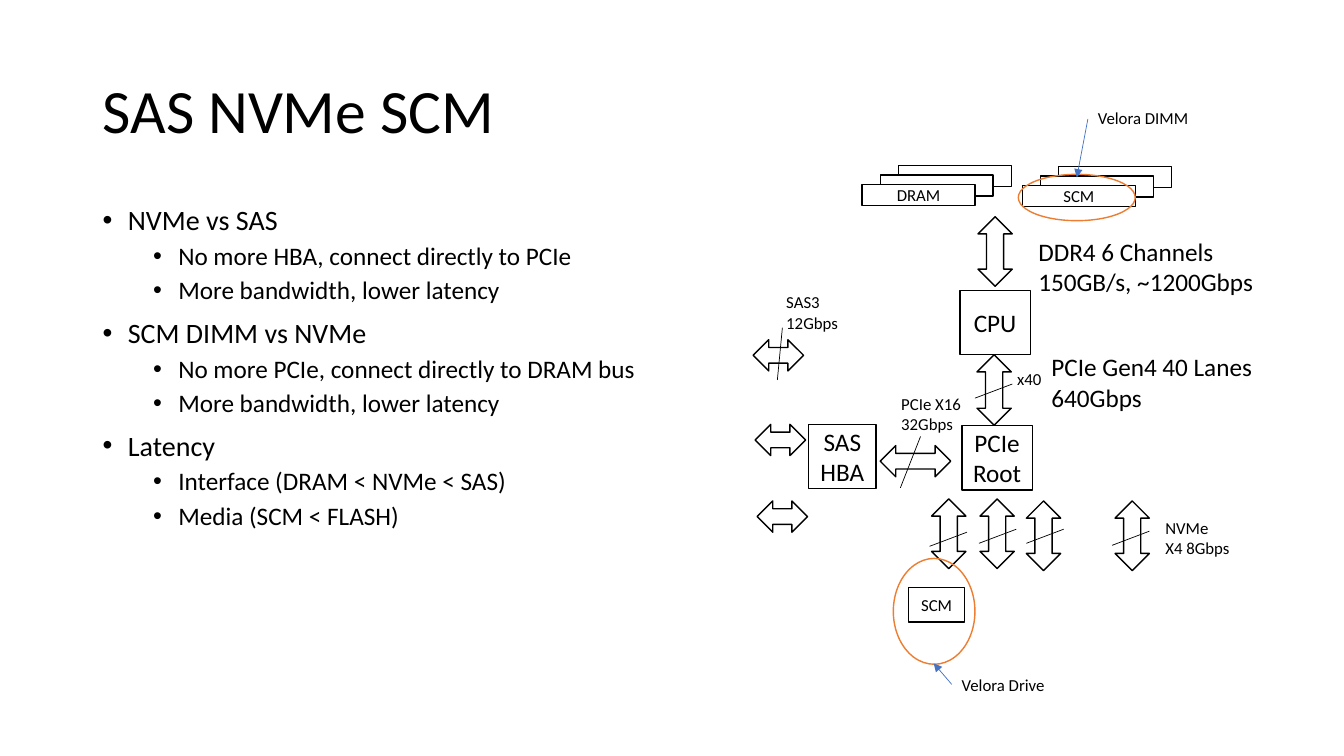
import pptx
import pptx.dml.color
import pptx.enum.shapes
import pptx.enum.text
import pptx.oxml.ns
import pptx.util
from lxml import etree

Inches = pptx.util.Inches
Pt = pptx.util.Pt
SHAPE = pptx.enum.shapes.MSO_SHAPE
ANCHOR = pptx.enum.text.MSO_ANCHOR
ALIGN = pptx.enum.text.PP_ALIGN
qn = pptx.oxml.ns.qn

FONT = "Calibri"
COLORS = {"ink": "000000", "paper": "FFFFFF", "highlight": "ED7D31", "pointer": "4472C4"}

OUTLINE = [
    ("NVMe vs SAS", ["No more HBA, connect directly to PCIe", "More bandwidth, lower latency"]),
    ("SCM DIMM vs NVMe", ["No more PCIe, connect directly to DRAM bus", "More bandwidth, lower latency"]),
    ("Latency", ["Interface (DRAM < NVMe < SAS)", "Media (SCM < FLASH)"]),
]


def rgb(name):
    return pptx.dml.color.RGBColor.from_string(COLORS[name])


def add_run(paragraph, text, size):
    run = paragraph.add_run()
    run.text = text
    run.font.name = FONT
    run.font.size = Pt(size)
    run.font.color.rgb = rgb("ink")


def add_label(slide, left, top, width, height, lines, size=12, wrap=True,
              anchor=ANCHOR.TOP, spacing=1.0):
    box = slide.shapes.add_textbox(Inches(left), Inches(top), Inches(width), Inches(height))
    frame = box.text_frame
    frame.word_wrap = wrap
    frame.vertical_anchor = anchor
    for index, line in enumerate(lines):
        paragraph = frame.paragraphs[0] if index == 0 else frame.add_paragraph()
        paragraph.line_spacing = spacing
        add_run(paragraph, line, size)


def add_bullet(paragraph, text, level):
    properties = paragraph._p.get_or_add_pPr()
    properties.set("marL", str(Inches(0.25 + 0.5 * level)))
    properties.set("indent", str(Inches(-0.25)))
    etree.SubElement(properties, qn("a:buFont")).set("typeface", "Arial")
    etree.SubElement(properties, qn("a:buChar")).set("char", "•")
    paragraph.level = level
    paragraph.line_spacing = 0.9
    add_run(paragraph, text, 18 if level else 20)


def add_outline(slide):
    box = slide.shapes.add_textbox(Inches(0.92), Inches(2), Inches(5.67), Inches(4.76))
    frame = box.text_frame
    frame.word_wrap = True
    entries = [(text, level) for topic, points in OUTLINE
               for text, level in [(topic, 0)] + [(point, 1) for point in points]]
    for index, (text, level) in enumerate(entries):
        paragraph = frame.add_paragraph() if index else frame.paragraphs[0]
        add_bullet(paragraph, text, level)
        if index:
            paragraph.space_before = Pt(5 if level else 10)


def add_block(slide, kind, left, top, width, height, text="", size=18, line="ink", filled=True):
    block = slide.shapes.add_shape(kind, Inches(left), Inches(top), Inches(width), Inches(height))
    block.shadow.inherit = False
    if filled:
        block.fill.solid()
        block.fill.fore_color.rgb = rgb("paper")
    else:
        block.fill.background()
    block.line.color.rgb = rgb(line)
    block.line.width = Pt(1)
    if text:
        frame = block.text_frame
        frame.word_wrap = True
        frame.vertical_anchor = ANCHOR.MIDDLE
        frame.paragraphs[0].alignment = ALIGN.CENTER
        add_run(frame.paragraphs[0], text, size)


def add_line(slide, start, end, color="ink", arrow=False):
    line = slide.shapes.add_connector(
        pptx.enum.shapes.MSO_CONNECTOR.STRAIGHT,
        *(Inches(value) for value in start + end))
    line.line.color.rgb = rgb(color)
    line.line.width = Pt(0.5)
    if arrow:
        etree.SubElement(line.line._get_or_add_ln(), qn("a:tailEnd")).set("type", "triangle")
    etree.SubElement(line._element.spPr, qn("a:effectLst"))


def add_lane_tick(slide, left, top):
    """Draw the slanted stroke that marks a bus as several lanes wide."""
    add_line(slide, (left + 0.37, top), (left, top + 0.14))


def add_memory_stack(slide, left, top, text):
    """Draw three overlapping modules, back to front, naming the front one."""
    for step, name in enumerate(("", "", text)):
        add_block(slide, SHAPE.RECTANGLE, left - 0.18 * step, top + 0.095 * step,
                  1.12, 0.21, name, 12)


def add_memory_and_cpu(slide):
    add_block(slide, SHAPE.RECTANGLE, 9.52, 2.88, 0.7, 0.64, "CPU")
    add_block(slide, SHAPE.UP_DOWN_ARROW, 9.7, 2.15, 0.34, 0.69)
    add_memory_stack(slide, 8.91, 1.64, "DRAM")
    add_memory_stack(slide, 10.5, 1.65, "SCM")
    add_label(slide, 10.2, 2.29, 2.36, 0.71, ["DDR4 6 Channels", "150GB/s, ~1200Gbps"], 18, False)


def add_pcie(slide):
    add_block(slide, SHAPE.RECTANGLE, 9.54, 4.22, 0.7, 0.64, "PCIe Root")
    add_block(slide, SHAPE.UP_DOWN_ARROW, 9.69, 3.52, 0.34, 0.7)
    add_lane_tick(slide, 9.67, 3.81)
    add_label(slide, 9.99, 3.61, 0.45, 0.31, ["x40"])
    add_label(slide, 10.33, 3.44, 2.22, 0.71, ["PCIe Gen4 40 Lanes", "640Gbps"], 18, False)


def add_sas(slide):
    add_block(slide, SHAPE.RECTANGLE, 8.02, 4.21, 0.67, 0.64, "SAS HBA")
    add_block(slide, SHAPE.LEFT_RIGHT_ARROW, 8.73, 4.42, 0.7, 0.31)
    add_label(slide, 8.84, 3.86, 0.83, 0.5, ["PCIe X16", "32Gbps"])
    add_line(slide, (9.13, 4.33), (8.93, 4.84))
    for left, top in [(7.47, 3.37), (7.49, 4.21), (7.51, 4.97)]:
        add_block(slide, SHAPE.LEFT_RIGHT_ARROW, left, top, 0.5, 0.31)
    add_line(slide, (7.76, 3.25), (7.71, 3.77))
    add_label(slide, 7.7, 2.85, 0.83, 0.5, ["SAS3", "12Gbps"])


def add_nvme(slide):
    for left, top, tick_left, tick_top in [
            (9.24, 4.95, 9.22, 5.28), (9.72, 4.95, 9.71, 5.25),
            (10.18, 4.97, 10.18, 5.25), (11.06, 4.97, 11.03, 5.27)]:
        add_block(slide, SHAPE.UP_DOWN_ARROW, left, top, 0.34, 0.69)
        add_lane_tick(slide, tick_left, tick_top)
    add_label(slide, 11.46, 5.09, 0.87, 0.5, ["NVMe", "X4 8Gbps"])
    add_block(slide, SHAPE.RECTANGLE, 9.01, 5.83, 0.56, 0.34, "SCM", 12)


def add_callout(slide, ellipse, label, text, start, end):
    add_block(slide, SHAPE.OVAL, *ellipse, line="highlight", filled=False)
    add_label(slide, *label, [text], wrap=False)
    add_line(slide, start, end, "pointer", arrow=True)


def main():
    deck = pptx.Presentation()
    deck.slide_width = Inches(13.33)
    deck.slide_height = Inches(7.5)
    slide = deck.slides.add_slide(deck.slide_layouts[6])
    add_label(slide, 0.92, 0.4, 11.5, 1.45, ["SAS NVMe SCM"], 44,
              anchor=ANCHOR.MIDDLE, spacing=0.9)
    add_outline(slide)
    add_memory_and_cpu(slide)
    add_pcie(slide)
    add_sas(slide)
    add_nvme(slide)
    add_callout(slide, (10.1, 1.73, 1.16, 0.46), (10.79, 1.02, 1.18, 0.3),
                "Velora DIMM", (10.79, 1.18), (10.68, 1.76))
    add_callout(slide, (8.86, 5.54, 0.81, 1.05), (9.44, 6.64, 1.1, 0.3),
                "Velora Drive", (9.44, 6.79), (9.26, 6.58))
    deck.save("out.pptx")


if __name__ == "__main__":
    main()
